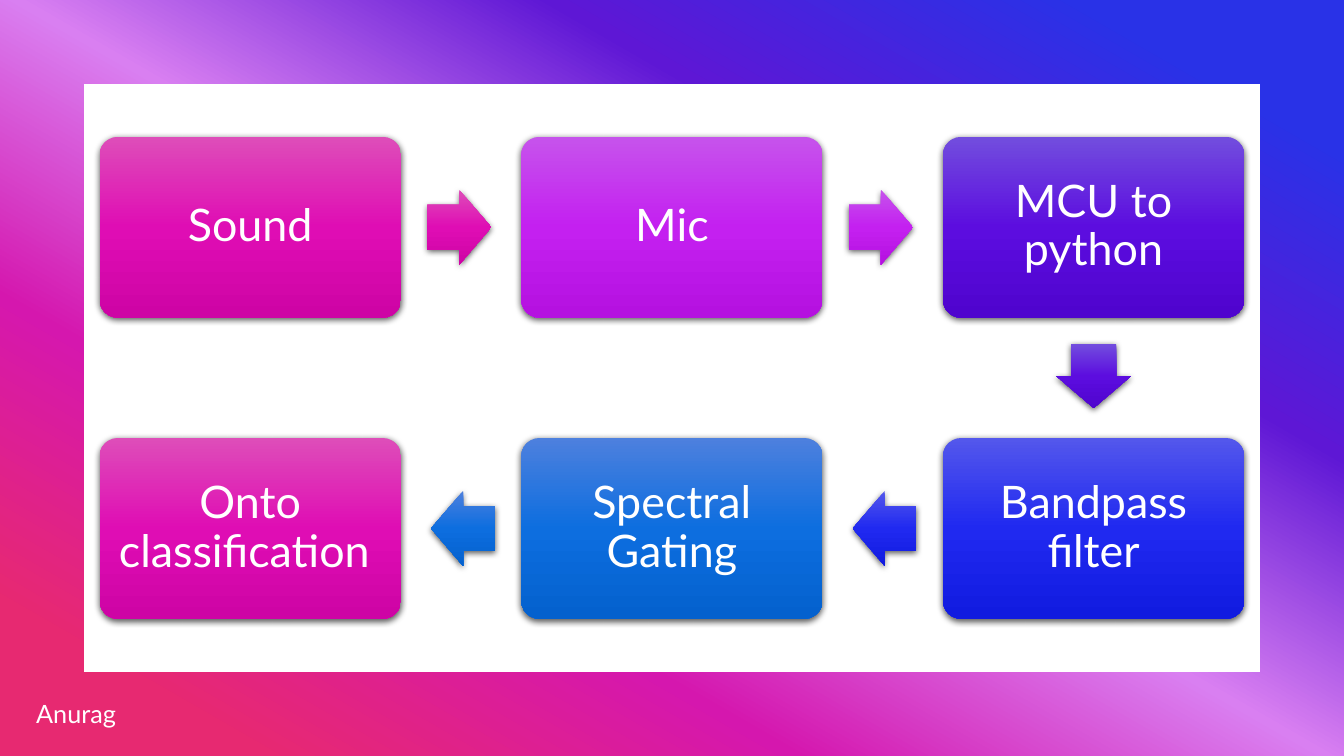
from lxml import etree
from pptx import Presentation
from pptx.dml.color import RGBColor
from pptx.enum import shapes, text
from pptx.oxml import ns
from pptx.util import Pt

FONT, WHITE = "Lato", "FFFFFF"
BACKDROP = [(10, "2932E7"), (30, "5E17D5"), (50, "D97FF1"), (70, "D517AE"), (90, "E72971")]
PINK = [(0, "DE4DB9"), (50, "DF0DB4"), (100, "CE04A5")]
PURPLE = [(0, "C653EC"), (50, "C420F0"), (100, "B511E0")]
VIOLET = [(0, "724DDE"), (50, "5C0DDF"), (100, "4F04CE")]
INDIGO = [(0, "5357EC"), (50, "2029F0"), (100, "111BE0")]
BLUE = [(0, "4D80DE"), (50, "0D6EDF"), (100, "0461CE")]

STEPS = [
    ("Sound", PINK, 0, 0),
    ("Mic", PURPLE, 0, 1),
    ("MCU to python", VIOLET, 0, 2),
    ("Bandpass filter", INDIGO, 1, 2),
    ("Spectral Gating", BLUE, 1, 1),
    ("Onto classification ", PINK, 1, 0),
]
AUTHOR = "Anurag"

SLIDE_W, SLIDE_H, MARGIN = 960, 540, 60
LEFT, TOP, PITCH_X, PITCH_Y = 71.2, 97.8, 301.2, 215.1
STEP_W, STEP_H = 215.2, 129.1
ARROW_W, ARROW_H, ARROW_GAP = 45.6, 53.4, 18.9
ROTATION = {(1, 0): 0, (0, 1): 90, (-1, 0): 180}


def color(value):
    return RGBColor.from_string(value)


def add_part(slide, kind, x, y, w, h):
    part = slide.shapes.add_shape(kind, Pt(x), Pt(y), Pt(w), Pt(h))
    part.line.fill.background()
    part.shadow.inherit = False
    return part


def add_gradient(part, stops, angle):
    part.fill.gradient()
    part.fill.gradient_angle = 360 - angle
    gradient = part._element.spPr.find(ns.qn("a:gradFill"))
    gradient.set("rotWithShape", "0")
    stop_list = gradient.find(ns.qn("a:gsLst"))
    for stop in list(stop_list):
        stop_list.remove(stop)
    for position, value in stops:
        stop = etree.SubElement(stop_list, ns.qn("a:gs"), pos=str(position * 1000))
        etree.SubElement(stop, ns.qn("a:srgbClr"), val=value)


def add_shadow(part):
    effects = part._element.spPr.find(ns.qn("a:effectLst"))
    shadow = etree.SubElement(
        effects, ns.qn("a:outerShdw"), blurRad=str(Pt(4.5)), dist=str(Pt(1.5)),
        dir="5400000", algn="ctr", rotWithShape="0")
    black = etree.SubElement(shadow, ns.qn("a:srgbClr"), val="000000")
    etree.SubElement(black, ns.qn("a:alpha"), val="63000")


def write(part, wording, size):
    paragraph = part.text_frame.paragraphs[0]
    paragraph.text = wording
    paragraph.alignment = text.PP_ALIGN.CENTER
    paragraph.font.name = FONT
    paragraph.font.size = Pt(size)
    paragraph.font.color.rgb = color(WHITE)
    return paragraph


def add_step(slide, wording, stops, row, column):
    step = add_part(slide, shapes.MSO_SHAPE.ROUNDED_RECTANGLE,
                    LEFT + column * PITCH_X, TOP + row * PITCH_Y, STEP_W, STEP_H)
    step.adjustments[0] = 0.1
    add_gradient(step, stops, 90)
    add_shadow(step)
    frame = step.text_frame
    frame.word_wrap = True
    frame.vertical_anchor = text.MSO_ANCHOR.MIDDLE
    frame.margin_left = frame.margin_right = Pt(9.6)
    frame.margin_top = frame.margin_bottom = Pt(9.6)
    write(step, wording, 32).line_spacing = 0.9


def add_arrow(slide, stops, row, column, next_row, next_column):
    across, down = next_column - column, next_row - row
    reach = ARROW_GAP + ARROW_W / 2
    center_x = LEFT + column * PITCH_X + STEP_W / 2 + across * (STEP_W / 2 + reach)
    center_y = TOP + row * PITCH_Y + STEP_H / 2 + down * (STEP_H / 2 + reach)
    arrow = add_part(slide, shapes.MSO_SHAPE.RIGHT_ARROW,
                     center_x - ARROW_W / 2, center_y - ARROW_H / 2, ARROW_W, ARROW_H)
    arrow.adjustments[0] = 0.6
    arrow.adjustments[1] = 0.5
    arrow.rotation = ROTATION[across, down]
    add_gradient(arrow, stops, 90)
    add_shadow(arrow)


def main():
    deck = Presentation()
    deck.slide_width, deck.slide_height = Pt(SLIDE_W), Pt(SLIDE_H)
    slide = deck.slides.add_slide(deck.slide_layouts[6])

    backdrop = add_part(slide, shapes.MSO_SHAPE.RECTANGLE, 0, 0, SLIDE_W, SLIDE_H)
    add_gradient(backdrop, BACKDROP, 120)
    panel = add_part(slide, shapes.MSO_SHAPE.RECTANGLE, MARGIN, MARGIN,
                     SLIDE_W - 2 * MARGIN, SLIDE_H - 2 * MARGIN)
    panel.fill.solid()
    panel.fill.fore_color.rgb = color(WHITE)

    for index, (wording, stops, row, column) in enumerate(STEPS):
        add_step(slide, wording, stops, row, column)
        if index + 1 < len(STEPS):
            add_arrow(slide, stops, row, column, *STEPS[index + 1][2:])

    author = slide.shapes.add_textbox(Pt(11.5), Pt(495.4), Pt(85.7), Pt(29))
    author.text_frame.word_wrap = True
    write(author, AUTHOR, 18)
    deck.save("out.pptx")


if __name__ == "__main__":
    main()
